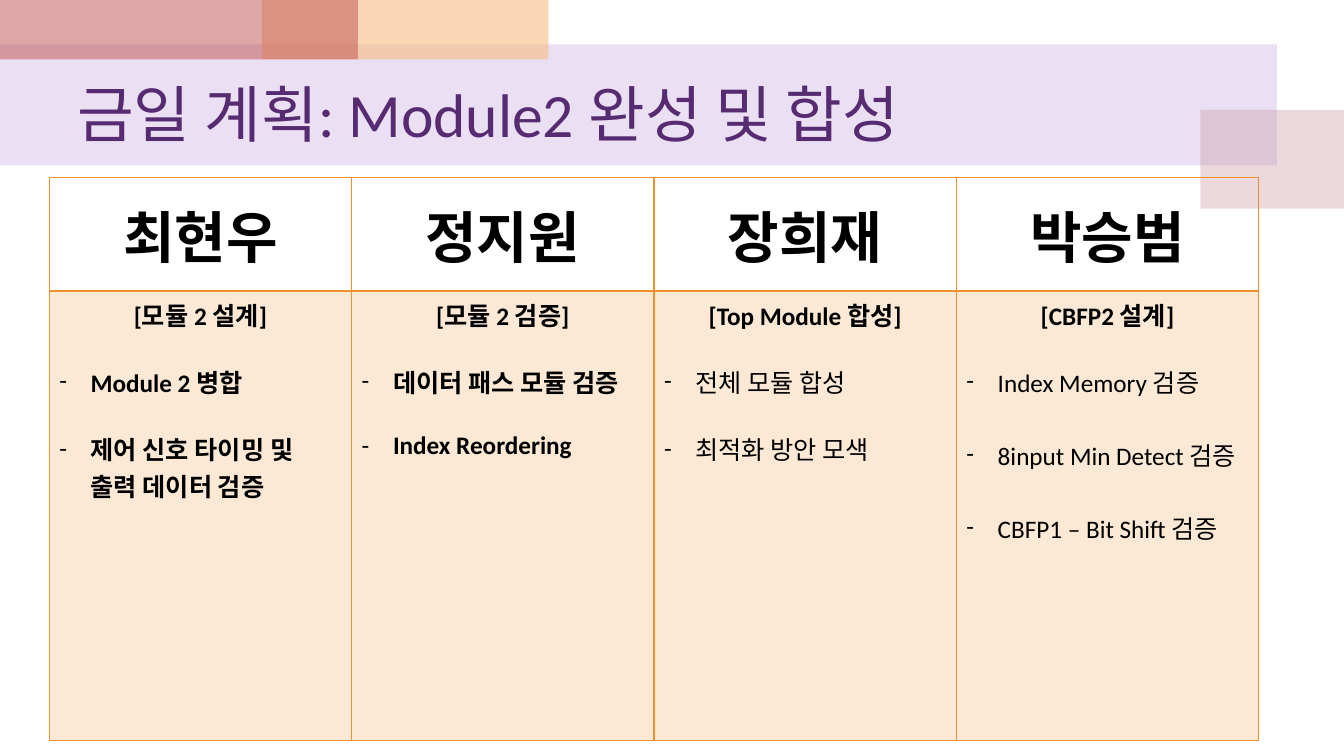
from dataclasses import dataclass

from lxml.etree import SubElement
from pptx import Presentation
from pptx.dml.color import RGBColor
from pptx.enum.shapes import MSO_SHAPE
from pptx.enum.text import MSO_ANCHOR, PP_ALIGN
from pptx.oxml.ns import qn
from pptx.util import Cm, Pt

LILAC = RGBColor(0xBF, 0x98, 0xD8)
MAUVE = RGBColor(0xCC, 0x9E, 0xAC)
PEACH = RGBColor(0xF5, 0xBC, 0x83)
RED = RGBColor(0xC0, 0x50, 0x4D)
PURPLE = RGBColor(0x56, 0x2B, 0x71)
ORANGE = RGBColor(0xEF, 0x90, 0x31)
BLACK = RGBColor(0, 0, 0)
FONT = "Calibri"


@dataclass
class Band:
    left: float
    top: float
    width: float
    height: float
    color: RGBColor
    opacity: int


@dataclass
class Member:
    name: str
    topic: str
    tasks: list[str]
    bold: bool
    gap: int = 22  # points between tasks


BANDS = [
    Band(0, 1.12, 32.18, 3.05, LILAC, 30),
    Band(30.25, 2.77, 3.62, 2.49, MAUVE, 40),
    Band(6.6, 0, 7.22, 1.5, PEACH, 60),
    Band(0, 0, 9.02, 1.5, RED, 50),
]
MEMBERS = [
    Member("최현우", "[모듈 2 설계]",
           ["Module 2 병합", "제어 신호 타이밍 및 출력 데이터 검증"], True),
    Member("정지원", "[모듈 2 검증]",
           ["데이터 패스 모듈 검증", "Index Reordering"], True),
    Member("장희재", "[Top Module 합성]",
           ["전체 모듈 합성", "최적화 방안 모색"], False),
    Member("박승범", "[CBFP2 설계]",
           ["Index Memory 검증", "8input Min Detect 검증", "CBFP1 – Bit Shift 검증"],
           False, 26),
]
COL_WIDTH, HEAD_HEIGHT, BODY_HEIGHT = 7.62, 2.85, 11.33


def set_fill(fill, color: RGBColor, opacity: int) -> None:
    fill.solid()
    fill.fore_color.rgb = color
    for clr in fill._xPr.iter(qn("a:srgbClr")):
        SubElement(clr, qn("a:alpha"), val=str(opacity * 1000))


def add_run(p, text: str, size: int, color: RGBColor = BLACK, bold: bool = False) -> None:
    r = p.add_run()
    r.text = text
    r.font.name = FONT
    r.font.size = Pt(size)
    r.font.bold = bold
    r.font.color.rgb = color


def add_band(slide, band: Band) -> None:
    sp = slide.shapes.add_shape(MSO_SHAPE.RECTANGLE, Cm(band.left), Cm(band.top),
                                Cm(band.width), Cm(band.height))
    sp.shadow.inherit = False
    sp.line.fill.background()
    set_fill(sp.fill, band.color, band.opacity)


def add_title(slide, text: str) -> None:
    tf = slide.shapes.add_textbox(Cm(1.7), Cm(1.5), Cm(30.48), Cm(2.67)).text_frame
    tf.word_wrap = True
    tf.vertical_anchor = MSO_ANCHOR.MIDDLE
    add_run(tf.paragraphs[0], text, 44, PURPLE)


def set_borders(cell, bottom: float = 1) -> None:
    """Draw the cell's four edges; call before filling, as the schema wants."""
    tc_pr = cell._tc.get_or_add_tcPr()
    for edge, width in (("L", 1), ("R", 1), ("T", 1), ("B", bottom)):
        ln = SubElement(tc_pr, qn(f"a:ln{edge}"), w=str(Pt(width)))
        SubElement(SubElement(ln, qn("a:solidFill")), qn("a:srgbClr"), val=str(ORANGE))


def add_task(tf, text: str, bold: bool, gap: int) -> None:
    p = tf.add_paragraph()
    p.space_before = Pt(gap)
    p_pr = p._p.get_or_add_pPr()
    p_pr.set("marL", str(Cm(0.79)))
    p_pr.set("indent", str(Cm(-0.79)))
    SubElement(p_pr, qn("a:buFont"), typeface=FONT)
    SubElement(p_pr, qn("a:buChar"), char="-")
    add_run(p, text, 18, bold=bold)


def fill_head(cell, member: Member) -> None:
    set_borders(cell, bottom=2)
    cell.fill.background()
    cell.vertical_anchor = MSO_ANCHOR.MIDDLE
    p = cell.text_frame.paragraphs[0]
    p.alignment = PP_ALIGN.CENTER
    add_run(p, member.name, 40, bold=True)


def fill_body(cell, member: Member) -> None:
    set_borders(cell)
    set_fill(cell.fill, ORANGE, 20)
    tf = cell.text_frame
    p = tf.paragraphs[0]
    p.alignment = PP_ALIGN.CENTER
    add_run(p, member.topic, 18, bold=True)
    for i, task in enumerate(member.tasks):
        add_task(tf, task, member.bold, member.gap if i else 22)


def add_plan(slide, members: list[Member]) -> None:
    n = len(members)
    table = slide.shapes.add_table(2, n, Cm(1.24), Cm(4.48), Cm(n * COL_WIDTH),
                                   Cm(HEAD_HEIGHT + BODY_HEIGHT)).table
    table.first_row = table.horz_banding = False
    table.rows[0].height = Cm(HEAD_HEIGHT)
    table.rows[1].height = Cm(BODY_HEIGHT)
    for col, member in enumerate(members):
        table.columns[col].width = Cm(COL_WIDTH)
        fill_head(table.cell(0, col), member)
        fill_body(table.cell(1, col), member)


def main() -> None:
    prs = Presentation()
    prs.slide_width, prs.slide_height = Cm(33.87), Cm(19.05)
    slide = prs.slides.add_slide(prs.slide_layouts[6])
    for band in BANDS:
        add_band(slide, band)
    add_title(slide, "금일 계획: Module2 완성 및 합성")
    add_plan(slide, MEMBERS)
    prs.save("out.pptx")


if __name__ == "__main__":
    main()
